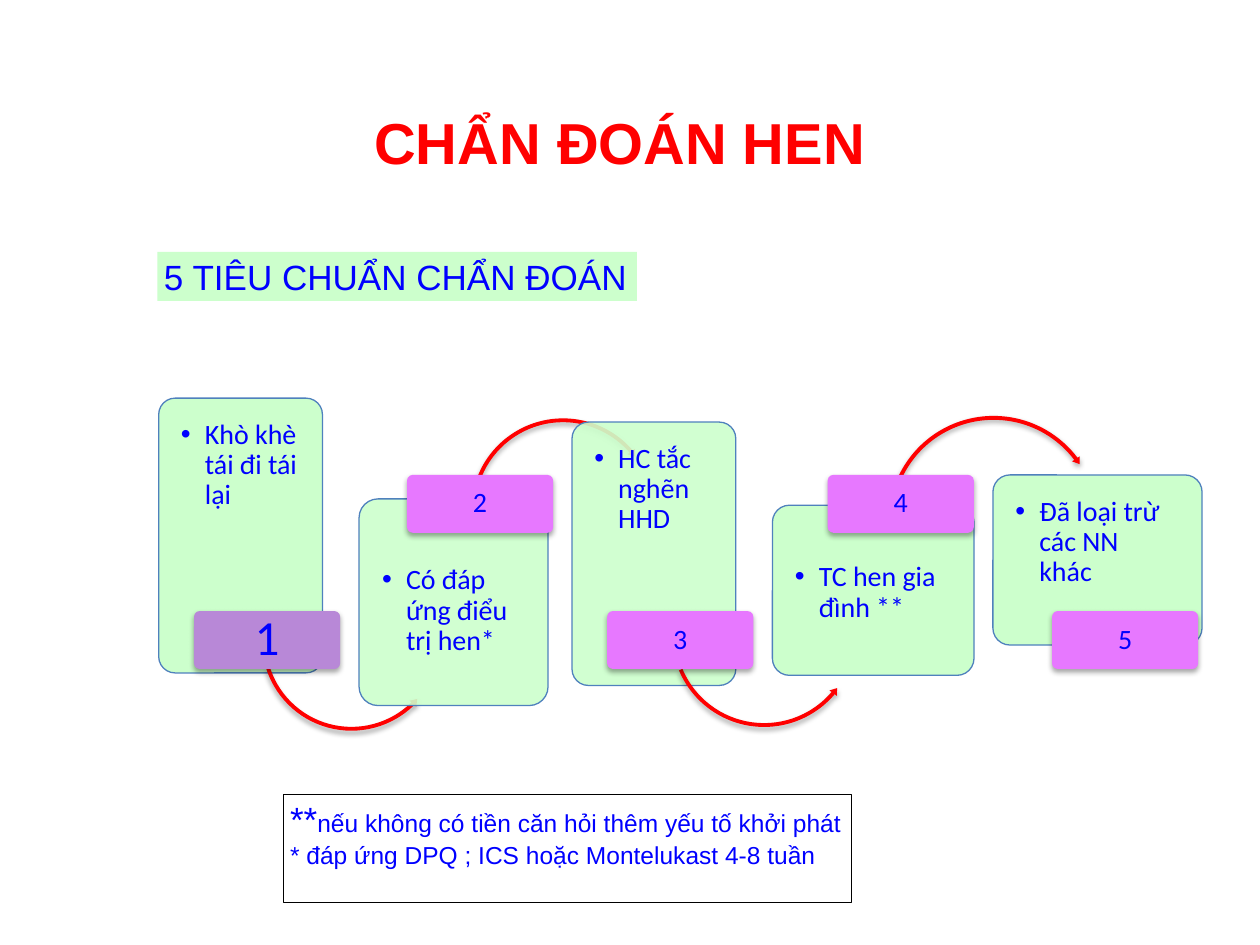
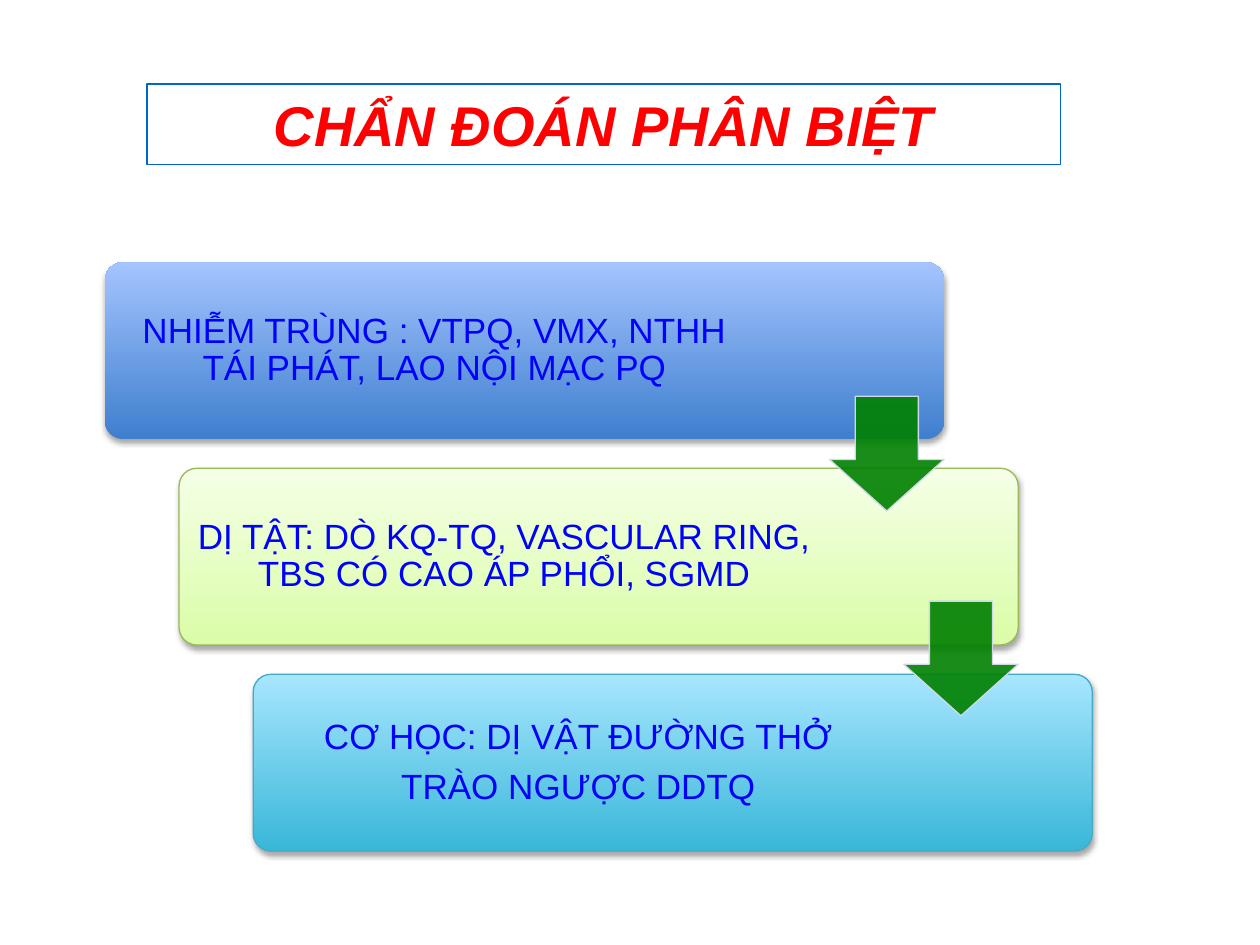
"""Build two slides on asthma diagnosis criteria and differential diagnosis."""
from dataclasses import dataclass
from typing import Optional

from lxml import etree
from pptx import Presentation
from pptx.dml.color import RGBColor
from pptx.enum import shapes, text
from pptx.oxml.ns import qn
from pptx.util import Pt

RED = RGBColor(0xFF, 0x00, 0x00)
BLUE = RGBColor(0x00, 0x00, 0xFF)
BLACK = RGBColor(0x00, 0x00, 0x00)
MINT = RGBColor(0xCC, 0xFF, 0xCC)
CARD_LINE = RGBColor(0x4F, 0x81, 0xBD)
PURPLE = RGBColor(0xB8, 0x88, 0xD7)
PINK = RGBColor(0xE7, 0x78, 0xFF)
GREEN = RGBColor(0x00, 0x80, 0x00)
ARROW_LINE = RGBColor(0xD0, 0xD8, 0xE8)
TITLE_LINE = RGBColor(0x00, 0x66, 0xCC)

KINDS = shapes.MSO_SHAPE
CENTER = text.PP_ALIGN.CENTER
LEFT = text.PP_ALIGN.LEFT
TOP = text.MSO_ANCHOR.TOP
MIDDLE = text.MSO_ANCHOR.MIDDLE
BOTTOM = text.MSO_ANCHOR.BOTTOM

BADGE_WIDTH, BADGE_HEIGHT = 83.5, 33.1
LOW_BADGE_TOP, HIGH_BADGE_TOP = 349.2, 271.4
BULLET_INDENT = 13.7
CAUSE_LEFT, CAUSE_TOP, CAUSE_WIDTH, CAUSE_HEIGHT = 60, 149.9, 479.5, 101
CAUSE_STEP_X, CAUSE_STEP_Y = 42.35, 117.7
ARROW_SIZE = 65.5


@dataclass(frozen=True)
class Box:
    """Position and size in points."""
    left: float
    top: float
    width: float
    height: float


@dataclass(frozen=True)
class Span:
    """A run of text with its look."""
    words: str
    size: float = 20
    font: str = "Arial"
    color: RGBColor = BLUE
    bold: bool = False
    italic: bool = False


@dataclass(frozen=True)
class Arc:
    """A curved arrow leading to the next criterion."""
    left: float
    top: float
    size: float
    adjustments: tuple[float, ...]


@dataclass(frozen=True)
class Criterion:
    """A criterion card with its numbered badge and outgoing arc."""
    words: str
    card: Box
    badge_left: float
    arc: Optional[Arc] = None
    text_top: float = 10
    text_right: float = 10
    opacity: int = 100
    badge_fill: RGBColor = PINK
    badge_size: float = 16


@dataclass(frozen=True)
class Cause:
    """A group of alternative diagnoses."""
    lines: tuple[str, ...]
    bottom_color: RGBColor
    top_color: RGBColor
    line: Optional[RGBColor]
    text_right: float = 114


CRITERIA = (
    Criterion("Khò khè tái đi tái lại", Box(90.7, 227.5, 93.6, 157), 110.9,
              Arc(148.3, 313.9, 105.1, (0.021, 2.506, 27.241, 97.225, 0.024)),
              badge_fill=PURPLE, badge_size=28),
    Criterion("Có đáp ứng điểu trị hen*", Box(205.2, 285.1, 108, 118.1), 232.6,
              Arc(267.8, 237.6, 108, (0.02, 2.441, 191.581, 121.533, 0.024)),
              text_top=35, opacity=90),
    Criterion("HC tắc nghẽn HHD", Box(326.9, 241.2, 93.6, 150.5), 347,
              Arc(382.3, 308.2, 108.7, (0.02, 2.43, 24.214, 94.274, 0.024)),
              opacity=90),
    Criterion("TC hen gia đình **", Box(441.4, 288.7, 115.2, 97.2), 473,
              Arc(506.2, 236.2, 123.1, (0.018, 2.131, 193.769, 123.41, 0.021)),
              text_top=30),
    Criterion("Đã loại trừ các NN khác", Box(567.4, 271.4, 119.5, 97.2), 601.2,
              text_right=14),
)

CAUSES = (
    Cause(("NHIỄM TRÙNG : VTPQ, VMX, NTHH TÁI PHÁT, LAO NỘI MẠC PQ",),
          RGBColor(0x3F, 0x7F, 0xCE), RGBColor(0xA4, 0xC4, 0xFF), None, 109),
    Cause(("DỊ TẬT: DÒ KQ-TQ, VASCULAR RING, TBS CÓ CAO ÁP PHỔI, SGMD",),
          RGBColor(0xDA, 0xFD, 0xA7), RGBColor(0xF5, 0xFF, 0xE7),
          RGBColor(0x98, 0xB9, 0x55)),
    Cause(("CƠ HỌC: DỊ VẬT ĐƯỜNG THỞ", "TRÀO NGƯỢC DDTQ"),
          RGBColor(0x39, 0xB7, 0xD8), RGBColor(0xA7, 0xE6, 0xFF),
          RGBColor(0x46, 0xAA, 0xC5)),
)


def add_shadow(shape) -> None:
    """Give a shape a soft shadow below it."""
    effects = shape._element.spPr.find(qn("a:effectLst"))
    shadow = etree.SubElement(effects, qn("a:outerShdw"), blurRad=str(Pt(3.1)),
                              dist=str(Pt(1.8)), dir="5400000", rotWithShape="0")
    color = etree.SubElement(shadow, qn("a:srgbClr"), val=str(BLACK))
    etree.SubElement(color, qn("a:alpha"), val="35000")


def set_opacity(shape, percent: int) -> None:
    """Make a solid fill partly transparent."""
    fill = shape._element.spPr.find(qn("a:solidFill"))
    etree.SubElement(fill[0], qn("a:alpha"), val=str(percent * 1000))


def add_box(slide, kind, box: Box, fill: Optional[RGBColor] = None,
            line: Optional[RGBColor] = None, adjustments: tuple[float, ...] = (),
            opacity: int = 100, shadow: bool = False):
    """Draw a preset shape."""
    shape = slide.shapes.add_shape(kind, Pt(box.left), Pt(box.top),
                                   Pt(box.width), Pt(box.height))
    for index, value in enumerate(adjustments):
        shape.adjustments[index] = value
    if fill is None:
        shape.fill.background()
    else:
        shape.fill.solid()
        shape.fill.fore_color.rgb = fill
    if line is None:
        shape.line.fill.background()
    else:
        shape.line.color.rgb = line
        shape.line.width = Pt(0.75)
    shape.shadow.inherit = False
    if opacity < 100:
        set_opacity(shape, opacity)
    if shadow:
        add_shadow(shape)
    return shape


def add_bullet(paragraph) -> None:
    """Turn a paragraph into a hanging bullet."""
    properties = paragraph._p.get_or_add_pPr()
    properties.set("marL", str(Pt(BULLET_INDENT)))
    properties.set("indent", str(Pt(-BULLET_INDENT)))
    etree.SubElement(properties, qn("a:buFont"), typeface="Arial")
    etree.SubElement(properties, qn("a:buChar"), char="•")


def write(shape, lines: list[list[Span]], insets: tuple[float, float, float, float],
          align=LEFT, anchor=TOP, wrap: bool = True, bullet: bool = False,
          line_spacing: float = 1.0, space_after: float = 0) -> None:
    """Fill a shape with paragraphs of spans."""
    frame = shape.text_frame
    frame.word_wrap = wrap
    frame.vertical_anchor = anchor
    (frame.margin_left, frame.margin_top,
     frame.margin_right, frame.margin_bottom) = map(Pt, insets)
    for index, spans in enumerate(lines):
        paragraph = frame.add_paragraph() if index else frame.paragraphs[0]
        if bullet:
            add_bullet(paragraph)
        paragraph.alignment = align
        paragraph.line_spacing = line_spacing
        paragraph.space_after = Pt(space_after)
        for span in spans:
            run = paragraph.add_run()
            run.text = span.words
            run.font.size = Pt(span.size)
            run.font.name = span.font
            run.font.color.rgb = span.color
            run.font.bold = span.bold
            run.font.italic = span.italic


def add_title(slide, words: str, size: float, box: Box, insets, anchor,
              line: Optional[RGBColor] = None, italic: bool = False) -> None:
    """Write the red slide title."""
    shape = add_box(slide, KINDS.RECTANGLE, box, line=line)
    write(shape, [[Span(words, size, color=RED, bold=True, italic=italic)]],
          insets, CENTER, anchor)


def add_criterion(slide, number: int, criterion: Criterion) -> None:
    """Draw a criterion card, its arc and its badge."""
    low = number % 2 == 1
    card = add_box(slide, KINDS.ROUNDED_RECTANGLE, criterion.card, MINT, CARD_LINE,
                   (0.1,), criterion.opacity)
    write(card, [[Span(criterion.words, 16, "Calibri")]],
          (10, criterion.text_top, criterion.text_right, 10),
          bullet=True, line_spacing=0.9)
    arc = criterion.arc
    if arc:
        kind = KINDS.LEFT_CIRCULAR_ARROW if low else KINDS.CIRCULAR_ARROW
        add_box(slide, kind, Box(arc.left, arc.top, arc.size, arc.size), RED,
                adjustments=arc.adjustments, shadow=True)
    badge_box = Box(criterion.badge_left, LOW_BADGE_TOP if low else HIGH_BADGE_TOP,
                    BADGE_WIDTH, BADGE_HEIGHT)
    badge = add_box(slide, KINDS.ROUNDED_RECTANGLE, badge_box, criterion.badge_fill,
                    adjustments=(0.1,), shadow=True)
    write(badge, [[Span(str(number), criterion.badge_size, "Calibri")]],
          (2, 1.5, 2, 1.5), CENTER, MIDDLE, line_spacing=0.9)


def add_cause(slide, index: int, cause: Cause) -> None:
    """Draw one step of the cause staircase."""
    box = Box(CAUSE_LEFT + index * CAUSE_STEP_X, CAUSE_TOP + index * CAUSE_STEP_Y,
              CAUSE_WIDTH, CAUSE_HEIGHT)
    shape = add_box(slide, KINDS.ROUNDED_RECTANGLE, box, line=cause.line,
                    adjustments=(0.1,), shadow=True)
    shape.fill.gradient()
    shape.fill.gradient_angle = 90
    for stop, color in zip(shape.fill.gradient_stops,
                           (cause.bottom_color, cause.top_color)):
        stop.color.rgb = color
    write(shape, [[Span(words)] for words in cause.lines],
          (6, 6, cause.text_right, 6), CENTER, MIDDLE,
          line_spacing=0.9, space_after=7)


def build_criteria_slide(slide) -> None:
    """Build the slide of five diagnostic criteria."""
    for number, criterion in enumerate(CRITERIA, start=1):
        add_criterion(slide, number, criterion)
    insets = (3.75, 2, 3.75, 2)
    footnote = add_box(slide, KINDS.RECTANGLE, Box(162, 453.8, 324.7, 62), line=BLACK)
    write(footnote, [
        [Span("**"), Span("nếu không có tiền căn hỏi thêm yếu tố khởi phát", 14)],
        [Span("* đáp ứng DPQ ; ICS hoặc Montelukast 4-8 tuần", 14)],
    ], insets, wrap=False)
    add_title(slide, "CHẨN ĐOÁN HEN", 33, Box(27.2, 41, 653.8, 59.5),
              (3.75, 0, 3.75, 0), BOTTOM)
    heading = add_box(slide, KINDS.RECTANGLE, Box(90, 144, 274, 28), MINT)
    write(heading, [[Span("5 TIÊU CHUẨN CHẨN ĐOÁN")]], insets, wrap=False)


def build_differential_slide(slide) -> None:
    """Build the slide of differential diagnoses."""
    for index, cause in enumerate(CAUSES):
        add_cause(slide, index, cause)
    for index in range(len(CAUSES) - 1):
        box = Box(CAUSE_LEFT + CAUSE_WIDTH - ARROW_SIZE + index * CAUSE_STEP_X,
                  226.5 + index * 117, ARROW_SIZE, ARROW_SIZE)
        add_box(slide, KINDS.DOWN_ARROW, box, GREEN, ARROW_LINE, (0.55, 0.45), 90)
    slide_title = Box(84, 48, 522, 46)
    add_title(slide, "CHẨN ĐOÁN PHÂN BIỆT", 32, slide_title, (7.2, 3.6, 7.2, 3.6),
              TOP, TITLE_LINE, italic=True)


def main() -> None:
    """Build and save the presentation."""
    presentation = Presentation()
    presentation.slide_width, presentation.slide_height = Pt(720), Pt(540)
    for build in (build_criteria_slide, build_differential_slide):
        build(presentation.slides.add_slide(presentation.slide_layouts[6]))
    presentation.save("out.pptx")


if __name__ == "__main__":
    main()
